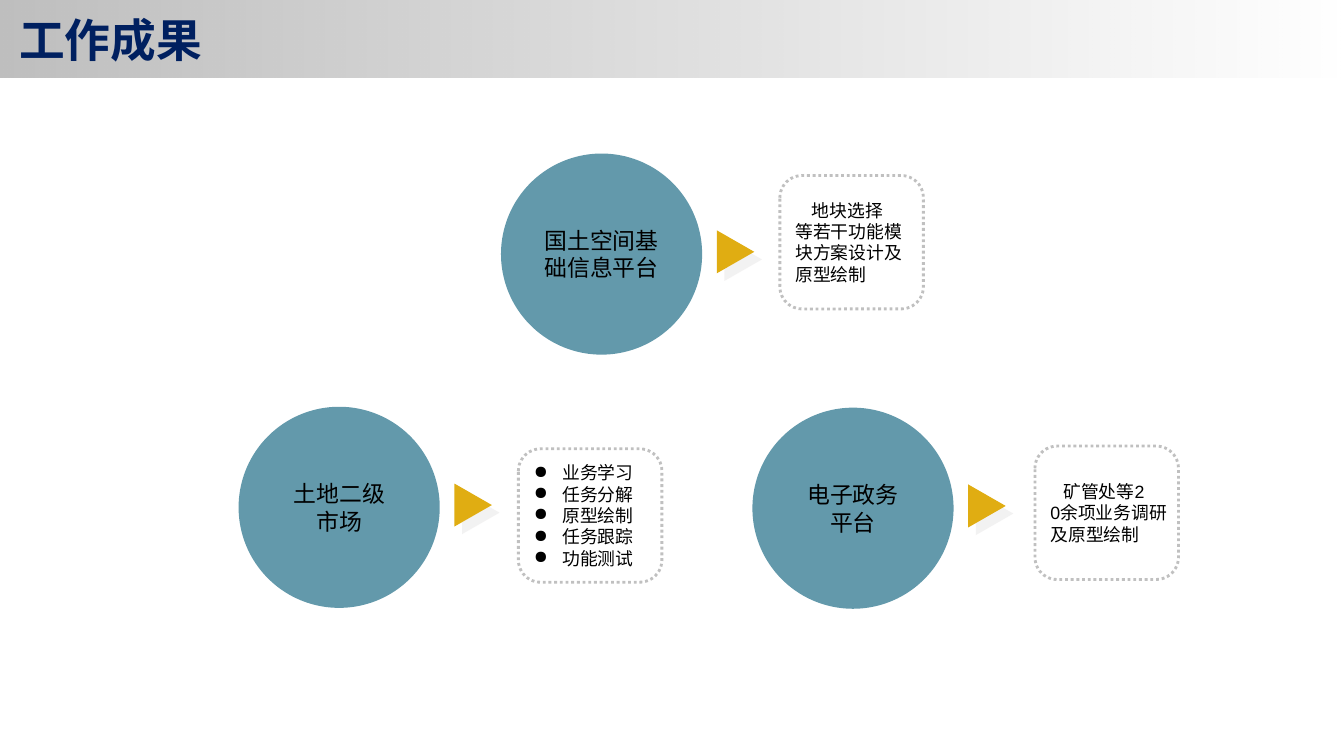
import pptx
import pptx.util
import pptx.dml.color
import pptx.enum.dml
import pptx.enum.shapes
import pptx.enum.text
import pptx.oxml.ns
import lxml.etree

Inches = pptx.util.Inches
Pt = pptx.util.Pt
qn = pptx.oxml.ns.qn
KIND = pptx.enum.shapes.MSO_SHAPE
ALIGN = pptx.enum.text.PP_ALIGN

# Content
TITLE = "工作成果"
# circle place, circle lines, box place, box lines, first-line indent, bullets
ITEMS = [
    ((8.23, 4.46), ["电子政务", "平台"], (11.32, 4.88),
     ["矿管处等2", "0余项业务调研", "及原型绘制"], 0.14, False),
    ((2.61, 4.45), ["土地二级", "市场"], (5.67, 4.91),
     ["业务学习", "任务分解", "原型绘制", "任务跟踪", "功能测试"], 0, True),
    ((5.48, 1.68), ["国土空间基础信息平台"], (8.53, 1.92),
     ["地块选择", "等若干功能模", "块方案设计及", "原型绘制"], 0.18, False),
]
COLORS = {"navy": "002060", "band": "BFBFBF", "teal": "6399AB", "gold": "E0AD12",
          "shade": "E7E6E6", "dots": "C0C0C0", "ink": "000000"}
HAN = "Noto Sans CJK SC"

# Sizes
DISC = 2.2
ARROW = (0.47, 0.41)
BOX = (1.57, 1.46)
STEP = (2.33, 0.87)  # from circle to arrow
HANG = 0.31


def tint(name):
    return pptx.dml.color.RGBColor.from_string(COLORS[name])


def add(kind, left, top, wide, high, fill=None):
    shape = slide.shapes.add_shape(
        kind, Inches(left), Inches(top), Inches(wide), Inches(high))
    shape.shadow.inherit = False
    shape.line.fill.background()
    if fill:
        shape.fill.solid()
        shape.fill.fore_color.rgb = tint(fill)
    else:
        shape.fill.background()
    return shape


def write(shape, lines, size, font, color="ink", bold=False, align=ALIGN.LEFT,
          wrap=True, inset=None, left=None, first=0, bullet=False):
    frame = shape.text_frame
    frame.word_wrap = wrap
    frame.vertical_anchor = pptx.enum.text.MSO_ANCHOR.MIDDLE
    if inset is not None:
        frame.margin_left = frame.margin_right = Inches(inset)
        frame.margin_top = frame.margin_bottom = Inches(inset)
    if left is not None:
        frame.margin_left = Inches(left)
    for i, line in enumerate(lines):
        para = frame.paragraphs[0] if i == 0 else frame.add_paragraph()
        para.alignment = align
        run = para.add_run()
        run.text = line
        run.font.size = Pt(size)
        run.font.bold = bold
        run.font.name = font
        run.font.color.rgb = tint(color)
        east = lxml.etree.SubElement(run.font._element, qn("a:ea"))
        east.set("typeface", HAN)
        props = para._p.get_or_add_pPr()
        if bullet:
            props.set("marL", str(Inches(HANG)))
            props.set("indent", str(-Inches(HANG)))
            lxml.etree.SubElement(props, qn("a:buChar")).set("char", "●")
        elif first and i == 0:
            props.set("indent", str(Inches(first)))


def shade(shape):
    effects = shape._element.spPr.find(qn("a:effectLst"))
    outer = lxml.etree.SubElement(effects, qn("a:outerShdw"))
    for key, value in (("blurRad", 0), ("dist", Pt(8.5)),
                       ("dir", 45 * 60000), ("rotWithShape", 0)):
        outer.set(key, str(value))
    color = lxml.etree.SubElement(outer, qn("a:srgbClr"))
    color.set("val", COLORS["shade"])
    lxml.etree.SubElement(color, qn("a:alpha")).set("val", "50000")


deck = pptx.Presentation()
deck.slide_width = Inches(14.7)
deck.slide_height = Inches(8.27)
slide = deck.slides.add_slide(deck.slide_layouts[6])

# Title band, fading to clear
band = add(KIND.RECTANGLE, 0, 0, 14.69, 0.85)
band.fill.gradient()
band.fill.gradient_angle = 0
for stop, place in zip(band.fill.gradient_stops, (0, 1)):
    stop.position = place
    stop.color.rgb = tint("band")
clear = band._element.spPr.findall(".//" + qn("a:srgbClr"))[-1]
lxml.etree.SubElement(clear, qn("a:alpha")).set("val", "0")
write(band, [TITLE], 36, HAN, color="navy", bold=True, left=0.21)

# Circles, arrows and dotted boxes
for (x, y), name, spot, notes, first, bullet in ITEMS:
    disc = add(KIND.OVAL, x, y, DISC, DISC, "teal")
    write(disc, name, 18, "Calibri", align=ALIGN.CENTER, inset=0.05)

    arrow = add(KIND.ISOSCELES_TRIANGLE, x + STEP[0], y + STEP[1], *ARROW, "gold")
    arrow.rotation = 90
    shade(arrow)

    box = add(KIND.ROUNDED_RECTANGLE, *spot, *BOX)
    box.line.color.rgb = tint("dots")
    box.line.width = Pt(2.25)
    box.line.dash_style = pptx.enum.dml.MSO_LINE.ROUND_DOT
    write(box, notes, 14, "Arial", wrap=False, first=first, bullet=bullet)

deck.save("out.pptx")
